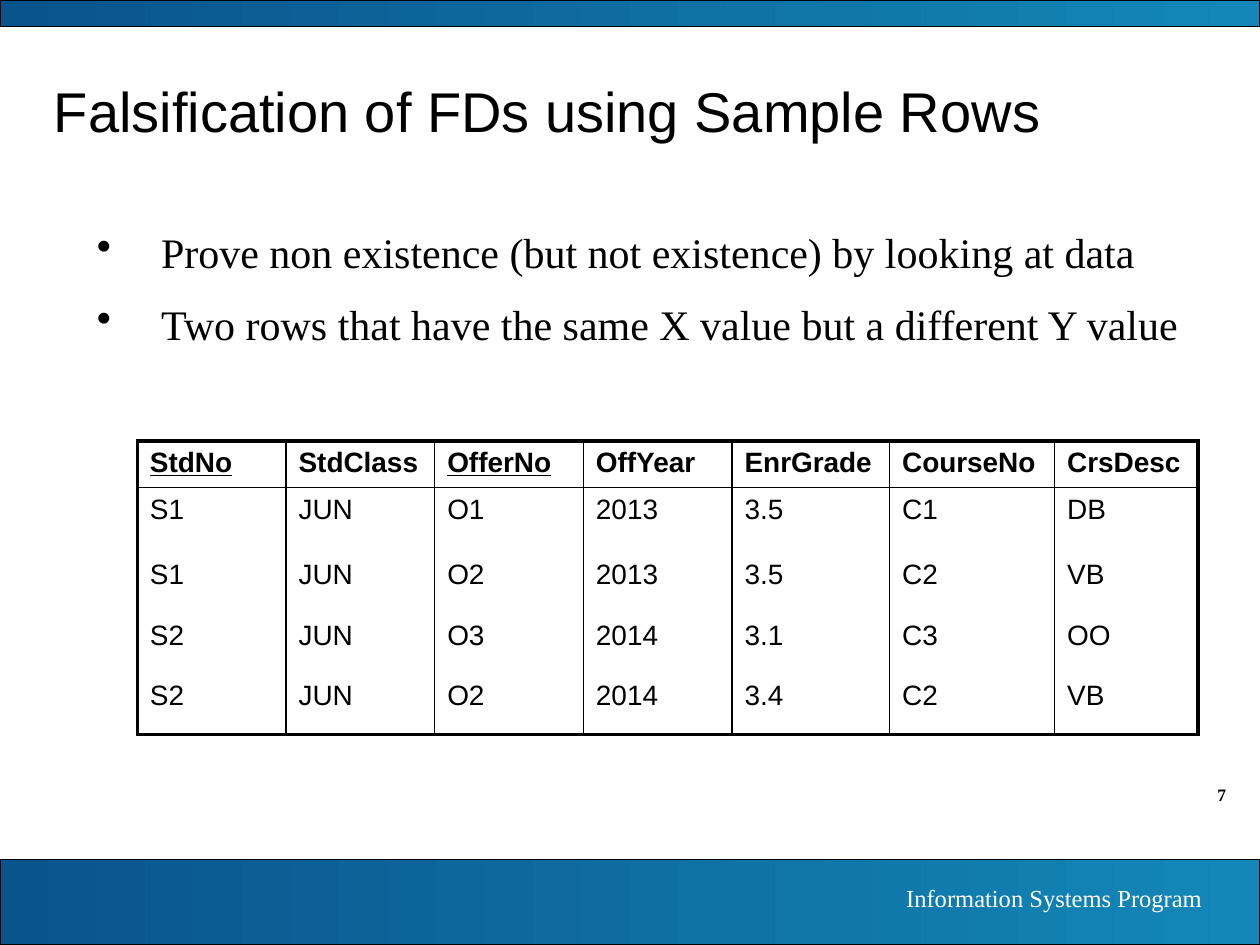
import dataclasses

import lxml.etree
import pptx
import pptx.dml.color
import pptx.enum.shapes
import pptx.enum.text
import pptx.oxml.ns
import pptx.util

ALIGN = pptx.enum.text.PP_ALIGN
ANCHOR = pptx.enum.text.MSO_ANCHOR
COLS, ROWS = 100, 75
WIDTH, HEIGHT = pptx.util.Inches(10), pptx.util.Inches(7.5)


@dataclasses.dataclass(frozen=True)
class Theme:
    """Hold the colours, fonts and sizes of the slide."""
    ink: str = "000000"
    pale: str = "FFFFFF"
    deep: str = "0A548C"
    light: str = "1387B8"
    sans: str = "Arial"
    serif: str = "Times New Roman"
    title: float = 32
    body: float = 24
    cell: float = 16
    foot: float = 14
    page: float = 10
    edge: float = 0.75
    thin: float = 1
    thick: float = 2.25


THEME = Theme()
HEADS = ["StdNo", "StdClass", "OfferNo", "OffYear", "EnrGrade", "CourseNo", "CrsDesc"]
KEYS = {"StdNo", "OfferNo"}
DATA = [
    ["S1", "JUN", "O1", "2013", "3.5", "C1", "DB"],
    ["S1", "JUN", "O2", "2013", "3.5", "C2", "VB"],
    ["S2", "JUN", "O3", "2014", "3.1", "C3", "OO"],
    ["S2", "JUN", "O2", "2014", "3.4", "C2", "VB"],
]
WIDTHS = [11.8] * 4 + [12.5, 13.1, 11.4]
HEIGHTS = [3.7, 5.2] + [4.8] * 3
POINTS = [
    "Prove non existence (but not existence) by looking at data",
    "Two rows that have the same X value but a different Y value",
]


def across(cols):
    """Turn grid columns into a length."""
    return round(WIDTH * cols / COLS)


def down(rows):
    """Turn grid rows into a length."""
    return round(HEIGHT * rows / ROWS)


def place(left, top, wide, high):
    """Turn a grid box into four lengths."""
    return across(left), down(top), across(wide), down(high)


def tint(code):
    """Make a colour from its code."""
    return pptx.dml.color.RGBColor.from_string(code)


def node(parent, tag, **attrs):
    """Append a drawing element to its parent."""
    name = pptx.oxml.ns.qn("a:" + tag)
    return lxml.etree.SubElement(parent, name, {k: str(v) for k, v in attrs.items()})


def style(para, face, size, ink=THEME.ink, bold=False, lead=0):
    """Set the font of a paragraph and the space above it in percent."""
    font = para.font
    font.name, font.size, font.bold = face, pptx.util.Pt(size), bold
    font.color.rgb = tint(ink)
    if lead:
        gap = node(para._p.get_or_add_pPr(), "spcBef")
        para._p.pPr.insert(0, gap)
        node(gap, "spcPct", val=lead * 1000)


def add_text(slide, box, lines, face, size, align=ALIGN.LEFT, anchor=ANCHOR.TOP, **looks):
    """Add a text box and return its paragraphs."""
    frame = slide.shapes.add_textbox(*place(*box)).text_frame
    frame.word_wrap, frame.vertical_anchor = True, anchor
    frame.text = "\n".join(lines)
    for para in frame.paragraphs:
        para.alignment = align
        style(para, face, size, **looks)
    return frame.paragraphs


def add_points(slide, box, lines):
    """Add a bullet list with hanging indents."""
    for para in add_text(slide, box, lines, THEME.serif, THEME.body, lead=50):
        props = para._p.get_or_add_pPr()
        props.set("marL", str(across(5.1)))
        props.set("indent", str(-across(5.1)))
        mark = node(props, "buChar", char="•")
        props.find(pptx.oxml.ns.qn("a:spcBef")).addnext(mark)


def add_band(slide, top, high):
    """Add a full-width band with a gradient."""
    kind = pptx.enum.shapes.MSO_SHAPE.RECTANGLE
    band = slide.shapes.add_shape(kind, *place(0, top, COLS, high))
    band.shadow.inherit = False
    band.fill.gradient()
    band.fill.gradient_angle = 0
    for stop, code in zip(band.fill.gradient_stops, (THEME.deep, THEME.light)):
        stop.color.rgb = tint(code)
    band.line.color.rgb = tint(THEME.ink)
    band.line.width = pptx.util.Pt(THEME.edge)


def rule_cell(cell, row, col):
    """Draw a thick outer frame, thin uprights and a thin line below the heads."""
    last_row, last_col = len(DATA), len(HEADS) - 1
    sides = {
        "lnL": THEME.thin if col else THEME.thick,
        "lnR": THEME.thin if col < last_col else THEME.thick,
        "lnT": {0: THEME.thick, 1: THEME.thin}.get(row, 0),
        "lnB": {0: THEME.thin, last_row: THEME.thick}.get(row, 0),
    }
    props = cell._tc.get_or_add_tcPr()
    for side, width in sides.items():
        line = node(props, side, w=pptx.util.Pt(width))
        if width:
            node(node(line, "solidFill"), "srgbClr", val=THEME.ink)
        else:
            node(line, "noFill")
    cell.fill.background()


def add_grid(slide, left, top):
    """Add the table of sample rows."""
    rows = [HEADS] + DATA
    box = place(left, top, sum(WIDTHS), sum(HEIGHTS))
    table = slide.shapes.add_table(len(rows), len(HEADS), *box).table
    table.first_row = table.horz_banding = False
    for col, wide in zip(table.columns, WIDTHS):
        col.width = across(wide)
    for row, high in zip(table.rows, HEIGHTS):
        row.height = down(high)
    for r, row in enumerate(rows):
        for c, text in enumerate(row):
            cell = table.cell(r, c)
            cell.text = text
            para = cell.text_frame.paragraphs[0]
            style(para, THEME.sans, THEME.cell, bold=r == 0, lead=20)
            para.font.underline = text in KEYS
            rule_cell(cell, r, c)


def main():
    """Build the slide and save it."""
    deck = pptx.Presentation()
    deck.slide_width, deck.slide_height = WIDTH, HEIGHT
    slide = deck.slides.add_slide(deck.slide_layouts[6])
    add_text(slide, (90, 61.7, 8.3, 2.7), ["7"], THEME.serif, THEME.page,
             align=ALIGN.RIGHT, bold=True, lead=50)
    add_band(slide, 68.2, 6.8)
    add_band(slide, 0, 2.1)
    add_text(slide, (55.5, 69.6, 40.9, 3.4), ["Information Systems Program"],
             THEME.serif, THEME.foot, align=ALIGN.RIGHT, ink=THEME.pale)
    add_text(slide, (3.3, 5, 86.7, 7.5), ["Falsification of FDs using Sample Rows"],
             THEME.sans, THEME.title, anchor=ANCHOR.MIDDLE)
    add_points(slide, (6.7, 17.5, 90, 11), POINTS)
    add_grid(slide, 10.9, 35)
    deck.save("out.pptx")


if __name__ == "__main__":
    main()
